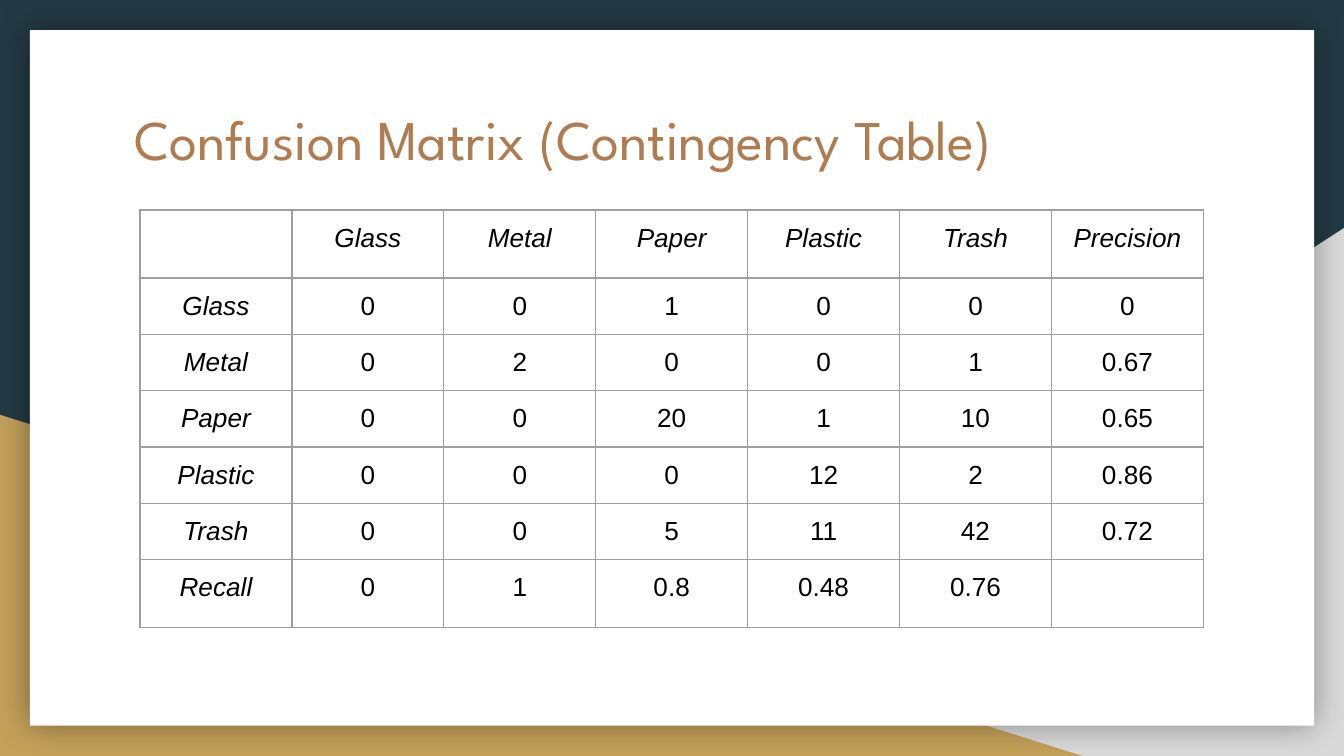
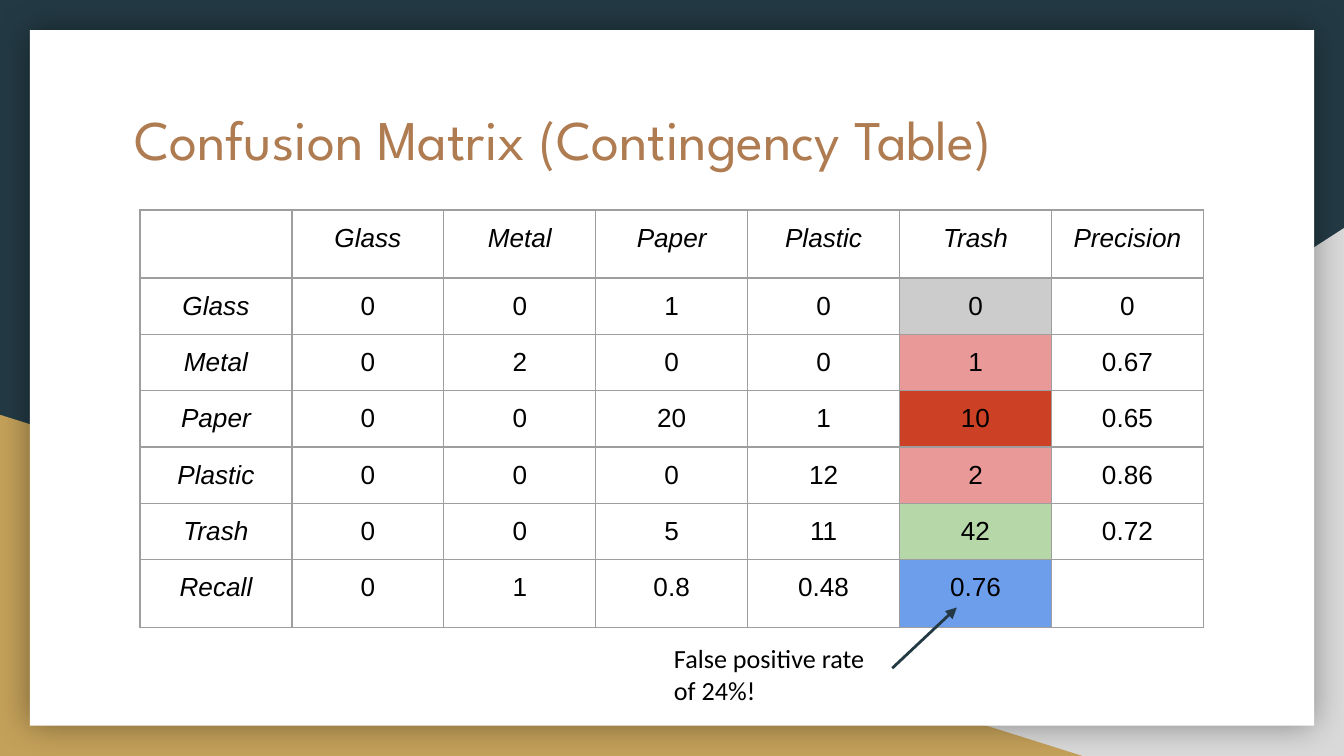
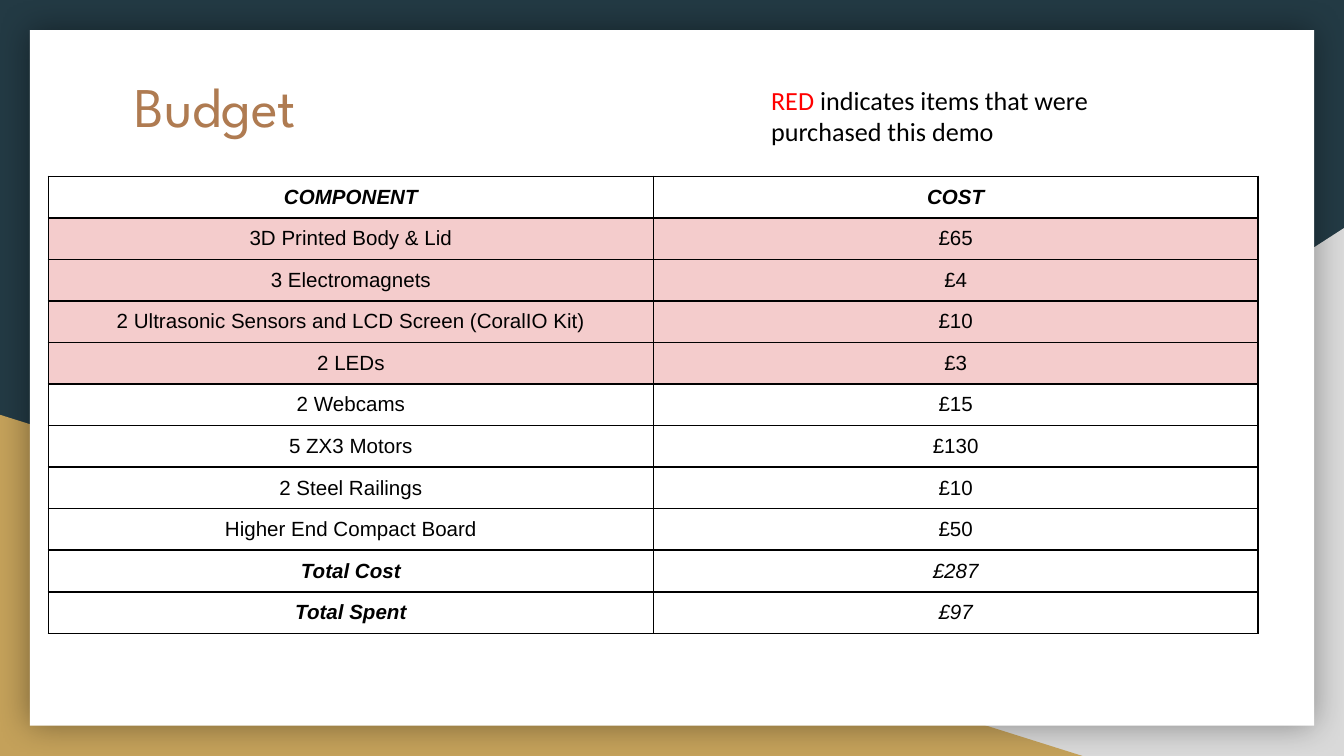
"""Builds three slides: two confusion matrices and a project budget."""
from dataclasses import dataclass

from lxml.etree import SubElement
from pptx import Presentation
from pptx.dml.color import RGBColor as RGB
from pptx.enum.shapes import MSO_CONNECTOR as CONNECTOR, MSO_SHAPE as SHAPE
from pptx.enum.text import MSO_ANCHOR as ANCHOR, MSO_AUTO_SIZE as AUTOSIZE, PP_ALIGN as ALIGN
from pptx.oxml import parse_xml
from pptx.oxml.ns import nsdecls, qn
from pptx.util import Pt


@dataclass(frozen=True)
class Theme:
    navy: str = "233A44"
    silver: str = "D9D9D9"
    gold: str = "C4A15A"
    paper: str = "FFFFFF"
    bronze: str = "AF7B51"
    ink: str = "000000"
    alert: str = "FF0000"
    grid: str = "9E9E9E"
    bought: str = "F4CCCC"
    none_wrong: str = "CCCCCC"
    few_wrong: str = "EA9999"
    many_wrong: str = "CC4125"
    correct: str = "B6D7A8"
    recall: str = "6D9EEB"
    title_font: str = "League Spartan"
    table_font: str = "Arial"
    note_font: str = "Calibri"
    title_size: int = 30
    matrix_size: int = 14
    note_size: int = 14
    budget_size: int = 11
    inset: float = 7.2
    budget_inset: float = 5


THEME = Theme()
SLIDE_SIZE = (720, 405)

BACKDROP = [
    (SHAPE.RIGHT_TRIANGLE, (282, 122.2, 438, 282.8), THEME.silver),
    (SHAPE.RIGHT_TRIANGLE, (0, 222.2, 580, 182.8), THEME.gold),
    (SHAPE.RECTANGLE, (16, 16.1, 688, 372.6), THEME.paper),
]

MATRIX_TITLE = "Confusion Matrix (Contingency Table)"
MATRIX = [
    ("", "Glass", "Metal", "Paper", "Plastic", "Trash", "Precision"),
    ("Glass", "0", "0", "1", "0", "0", "0"),
    ("Metal", "0", "2", "0", "0", "1", "0.67"),
    ("Paper", "0", "0", "20", "1", "10", "0.65"),
    ("Plastic", "0", "0", "0", "12", "2", "0.86"),
    ("Trash", "0", "0", "5", "11", "42", "0.72"),
    ("Recall", "0", "1", "0.8", "0.48", "0.76", ""),
]
TRASH_COLUMN = MATRIX[0].index("Trash")
TRASH_FILLS = [THEME.none_wrong, THEME.few_wrong, THEME.many_wrong,
               THEME.few_wrong, THEME.correct, THEME.recall]
FALSE_POSITIVES = [("False positive rate of 24%!", THEME.ink)]

BUDGET_HEAD = ("COMPONENT", "COST")
BOUGHT = [
    ("3D Printed Body & Lid", "£65"),
    ("3 Electromagnets", "£4"),
    ("2 Ultrasonic Sensors and LCD Screen (CoralIO Kit)", "£10"),
    ("2 LEDs", "£3"),
]
OTHER_ITEMS = [
    ("2 Webcams", "£15"),
    ("5 ZX3 Motors", "£130"),
    ("2 Steel Railings", "£10"),
    ("Higher End Compact Board", "£50"),
]
TOTALS = [("Total Cost", "£287"), ("Total Spent", "£97")]
BUDGET = [BUDGET_HEAD, *BOUGHT, *OTHER_ITEMS, *TOTALS]
RED_KEY = [("RED ", THEME.alert), ("indicates items that were purchased this demo", THEME.ink)]


def points(values):
    return [Pt(value) for value in values]


def apply(target, values):
    for attribute, value in values.items():
        setattr(target, attribute, value)


def margins(inset, prefix="margin_"):
    return {prefix + side: Pt(inset) for side in ("left", "right", "top", "bottom")}


def write(paragraph, text, color, **font):
    run = paragraph.add_run()
    run.text = text
    apply(run.font, font)
    run.font.color.rgb = RGB.from_string(color)


def build_backdrop(slide, layout):
    """Draws the shared shapes and moves them behind the layout's title."""
    for holder in list(layout.placeholders):
        if holder.placeholder_format.idx:
            holder.element.getparent().remove(holder.element)
    parts = []
    for preset, box, color in BACKDROP:
        part = slide.shapes.add_shape(preset, *points(box))
        part.shadow.inherit = False
        part.fill.solid()
        part.fill.fore_color.rgb = RGB.from_string(color)
        part.line.fill.background()
        parts.append(part)
    silver, _, paper = parts
    silver.element.spPr.find(qn("a:xfrm")).set("flipH", "1")
    paper.element.spPr.find(qn("a:effectLst")).append(parse_xml(
        f'<a:outerShdw {nsdecls("a")} blurRad="{Pt(18)}" dist="0" algn="ctr" rotWithShape="0">'
        f'<a:srgbClr val="{THEME.ink}"><a:alpha val="40000"/></a:srgbClr></a:outerShdw>'))
    for depth, part in enumerate(parts, start=2):
        layout.shapes.element.insert(depth, part.element)


def set_title(slide, text, top):
    title = slide.shapes.title
    apply(title, dict(zip(("left", "top", "width", "height"), points((64.8, top, 591, 75)))))
    frame = title.text_frame
    apply(frame, {**margins(THEME.inset), "word_wrap": True,
                  "auto_size": AUTOSIZE.NONE, "vertical_anchor": ANCHOR.TOP})
    heading = frame.paragraphs[0]
    heading.alignment = ALIGN.LEFT
    write(heading, text, THEME.bronze, name=THEME.title_font, size=Pt(THEME.title_size))


def add_note(slide, runs, box):
    frame = slide.shapes.add_textbox(*points(box)).text_frame
    apply(frame, {**margins(THEME.inset), "word_wrap": True})
    for text, color in runs:
        write(frame.paragraphs[0], text, color, name=THEME.note_font, size=Pt(THEME.note_size))


def add_grid(slide, rows, corner, column_width, heights, size, inset, border, style, fills):
    """Adds a table; style(row, column) gives font values, fills maps cells to colours."""
    columns = len(rows[0])
    holder = slide.shapes.add_table(
        len(rows), columns, *points((*corner, column_width * columns, sum(heights))))
    table = holder.table
    apply(table, {"first_row": False, "horz_banding": False})
    for column in table.columns:
        column.width = Pt(column_width)
    for r, (texts, height) in enumerate(zip(rows, heights)):
        table.rows[r].height = Pt(height)
        for c, text in enumerate(texts):
            cell = table.cell(r, c)
            apply(cell, margins(inset))
            if (r, c) in fills:
                cell.fill.solid()
                cell.fill.fore_color.rgb = RGB.from_string(fills[r, c])
            else:
                cell.fill.background()
            if text:
                entry = cell.text_frame.paragraphs[0]
                entry.alignment = ALIGN.CENTER
                write(entry, text, THEME.ink, name=THEME.table_font, size=Pt(size), **style(r, c))
    color, weight = border
    for properties in holder.element.iter(qn("a:tcPr")):
        for order, side in enumerate("LRTB"):
            properties.insert(order, parse_xml(
                f'<a:ln{side} {nsdecls("a")} w="{Pt(weight)}"><a:solidFill>'
                f'<a:srgbClr val="{color}"/></a:solidFill></a:ln{side}>'))


def add_matrix(slide, fills):
    set_title(slide, MATRIX_TITLE, 49)
    heights = [34.3] + [30.2] * (len(MATRIX) - 2) + [34.3]
    add_grid(slide, MATRIX, (75, 112.5), 81.4, heights, THEME.matrix_size, THEME.inset,
             (THEME.grid, 0.75), lambda r, c: {"italic": r == 0 or c == 0}, fills)


def add_arrow(slide, start, end):
    arrow = slide.shapes.add_connector(CONNECTOR.STRAIGHT, *points((*start, *end)))
    arrow.line.color.rgb = RGB.from_string(THEME.navy)
    arrow.line.width = Pt(1.5)
    properties = arrow.element.spPr
    SubElement(properties.find(qn("a:ln")), qn("a:tailEnd"), type="triangle")
    SubElement(properties, qn("a:effectLst"))


def add_budget(slide):
    set_title(slide, "Budget", 31)
    first_total = len(BUDGET) - len(TOTALS)

    def style(r, c):
        return {"bold": r == 0 or (r >= first_total and c == 0),
                "italic": r == 0 or r >= first_total}

    fills = {(r, c): THEME.bought for r in range(1, len(BOUGHT) + 1) for c in range(2)}
    add_grid(slide, BUDGET, (26, 94.5), 324, [22.25] * len(BUDGET), THEME.budget_size,
             THEME.budget_inset, (THEME.ink, 1), style, fills)
    add_note(slide, RED_KEY, (406, 38, 194.4, 39.6))


def main():
    deck = Presentation()
    deck.slide_width, deck.slide_height = points(SLIDE_SIZE)
    background = deck.slide_master.background.fill
    background.solid()
    background.fore_color.rgb = RGB.from_string(THEME.navy)
    layout = deck.slide_layouts[5]
    plain, marked, budget = [deck.slides.add_slide(layout) for _ in range(3)]
    build_backdrop(plain, layout)

    add_matrix(plain, {})
    add_matrix(marked, {(r, TRASH_COLUMN): fill for r, fill in enumerate(TRASH_FILLS, start=1)})
    add_note(marked, FALSE_POSITIVES, (354, 337, 124, 40))
    add_arrow(marked, (478, 358), (512.6, 325.5))
    add_budget(budget)
    deck.save("out.pptx")


if __name__ == "__main__":
    main()
